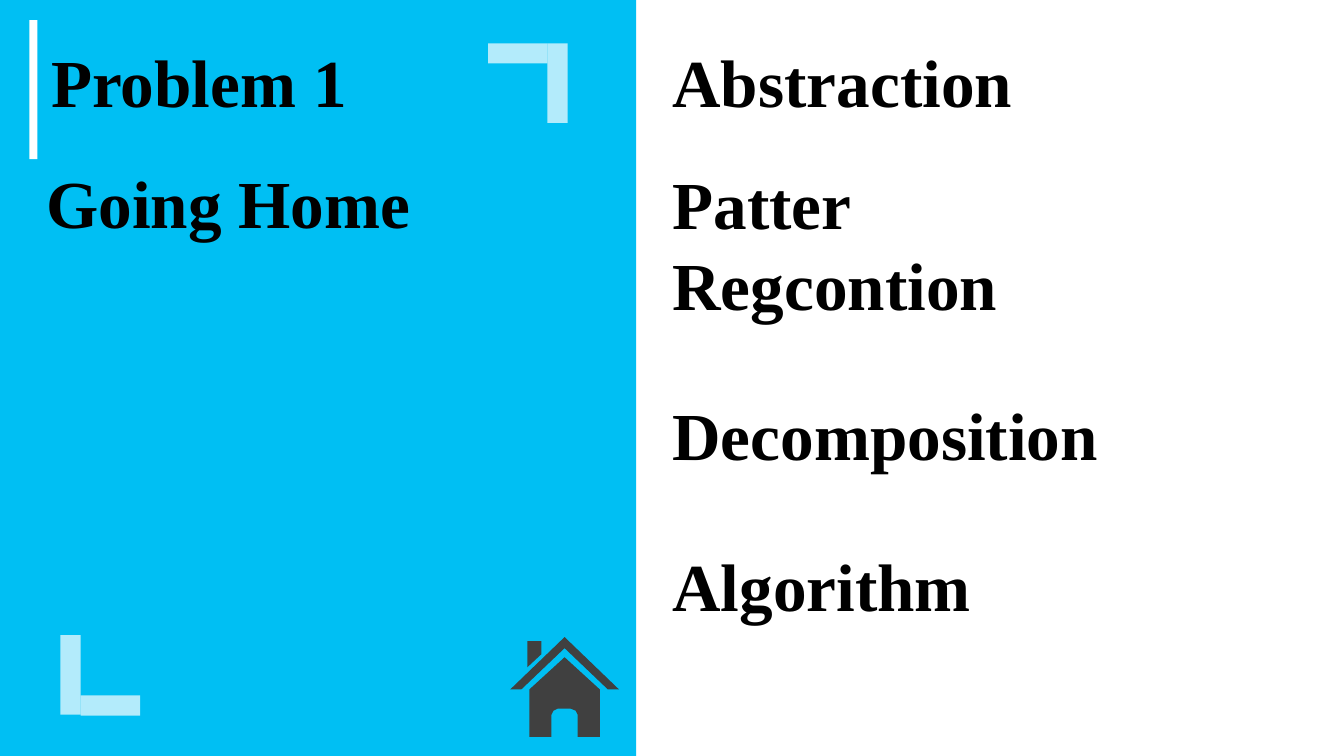
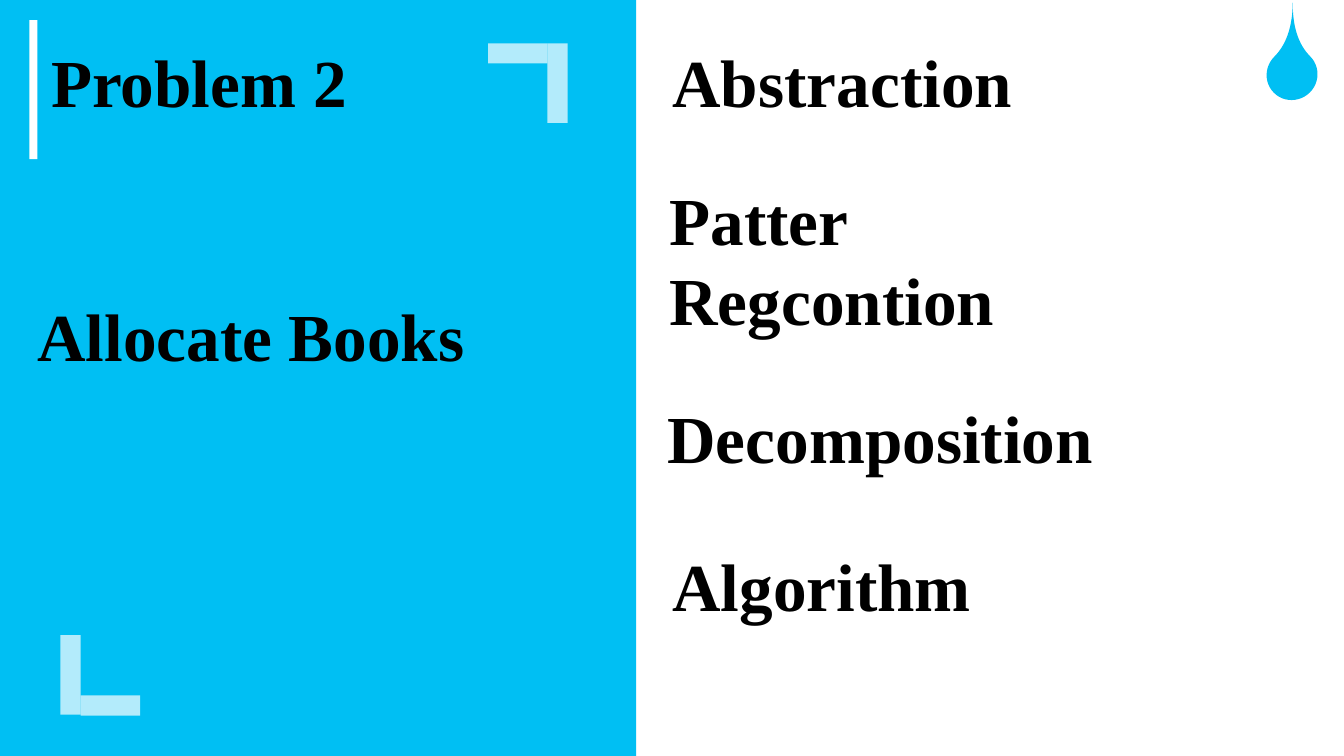
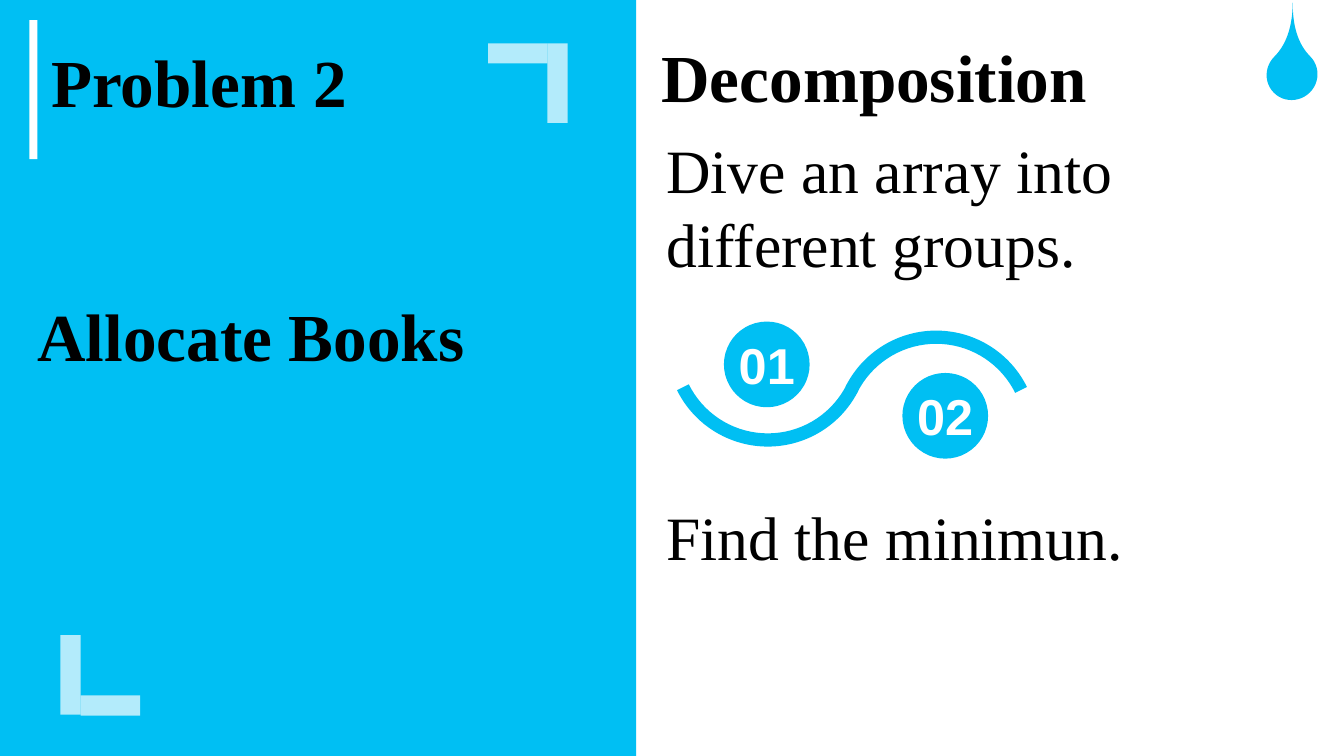
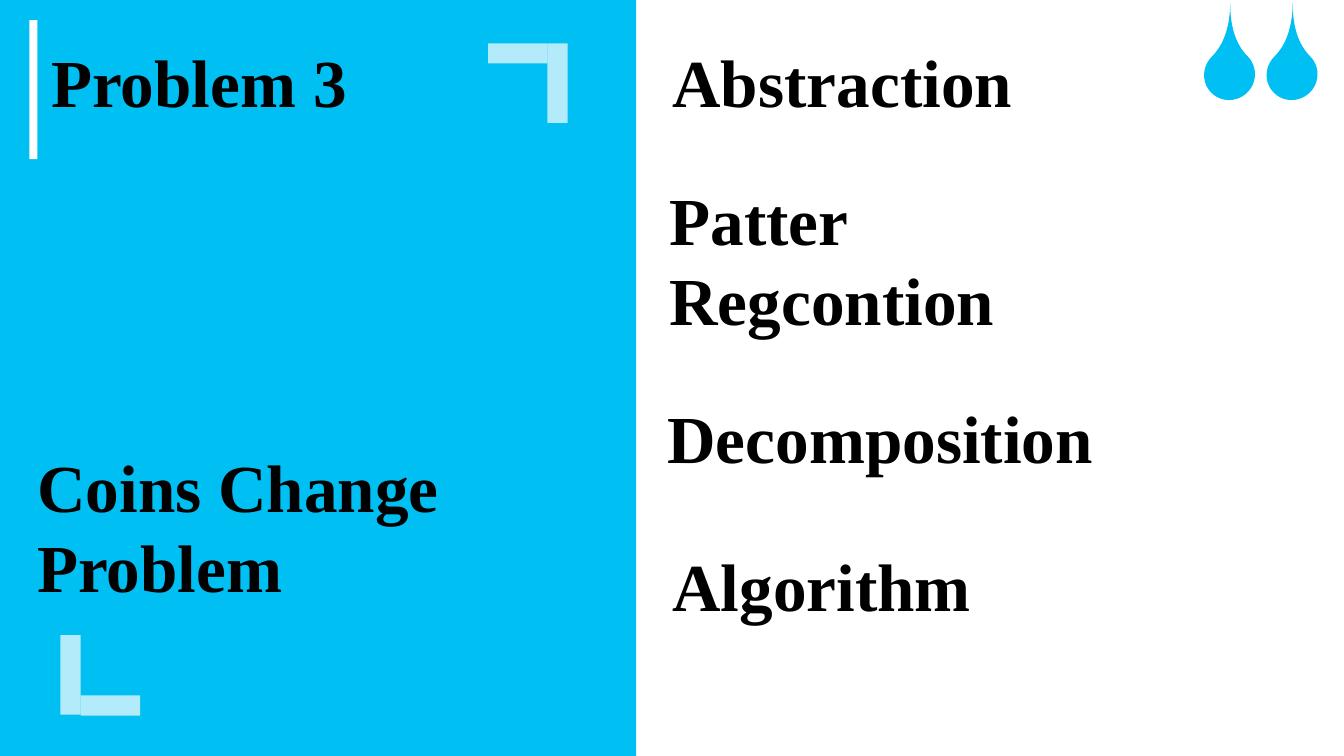
"""Build four slides on solving problems with computational thinking."""
from lxml import etree
from pptx import Presentation
from pptx.dml.color import RGBColor
from pptx.enum import shapes, text
from pptx.oxml.ns import qn
from pptx.util import Inches, Pt

COLORS = {"sky": "00BFF3", "white": "FFFFFF", "black": "000000", "house": "404040"}
SERIF, SANS = "Times New Roman", "Arial"
PRESET = shapes.MSO_SHAPE

HEADING_SIZE = (4.57, 0.51)
FIRST_STEPS = [
    ("Abstraction", 6.67, 0.54),
    ("Patter Regcontion", 6.67, 2.16),
    ("Decomposition", 6.67, 4.05),
    ("Algorithm", 6.67, 5.54),
]
LATER_STEPS = [
    ("Abstraction", 6.67, 0.54),
    ("Patter Regcontion", 6.64, 2.31),
    ("Decomposition", 6.62, 4.08),
    ("Algorithm", 6.67, 5.54),
]
SLIDES = [
    {"title": "Problem 1", "topic": ("Going Home", 0.46, 1.75),
     "headings": FIRST_STEPS, "drops": 0, "house": True},
    {"title": "Problem 2", "topic": ("Allocate Books", 0.37, 3.06),
     "headings": LATER_STEPS, "drops": 1},
    {"title": "Problem 2", "topic": ("Allocate Books", 0.37, 3.06),
     "headings": [("Decomposition", 6.56, 0.5)], "drops": 1,
     "notes": [("Dive an array into different groups.", (6.51, 1.26, 6.11, 1.58)),
               ("Find the minimun.", (6.51, 4.9, 4.87, 0.84))],
     "arcs": [(8.28, 3.28, 0), (6.61, 2.42, 180)],
     "badges": [("01", 7.18, 3.19), ("02", 8.95, 3.7)]},
    {"title": "Problem 3", "topic": ("Coins Change Problem", 0.37, 4.96),
     "headings": LATER_STEPS, "drops": 2},
]

BRACKETS = [
    (5.43, 0.43, 0.2, 0.79), (4.84, 0.43, 0.59, 0.2),
    (0.6, 6.3, 0.2, 0.79), (0.8, 6.9, 0.59, 0.2),
]
HOUSE = [
    [(5.6, 6.52), (5.95, 6.84), (5.95, 7.31), (5.73, 7.31), (5.73, 7.09),
     (5.71, 7.05), (5.66, 7.03), (5.53, 7.03), (5.49, 7.05), (5.47, 7.09),
     (5.47, 7.31), (5.25, 7.31), (5.25, 6.84)],
    [(5.23, 6.36), (5.37, 6.36), (5.37, 6.49), (5.23, 6.62)],
    [(5.6, 6.32), (6.14, 6.84), (6.03, 6.84), (5.6, 6.43), (5.17, 6.84), (5.06, 6.84)],
]


def paint(shape, color, opacity=100):
    shape.shadow.inherit = False
    shape.line.fill.background()
    shape.fill.solid()
    shape.fill.fore_color.rgb = RGBColor.from_string(COLORS[color])
    if opacity < 100:
        color_node = shape.fill._xPr.find(qn("a:solidFill"))[0]
        etree.SubElement(color_node, qn("a:alpha")).set("val", str(opacity * 1000))


def add_preset(slide, preset, box, color="sky", opacity=100, rotation=0, adjustments=()):
    shape = slide.shapes.add_shape(preset, *map(Inches, box))
    paint(shape, color, opacity)
    shape.rotation = rotation
    for index, value in enumerate(adjustments):
        shape.adjustments[index] = value
    return shape


def write(shape, words, size=48, font=SERIF, color="black", bold=True, wrap=True,
          align=text.PP_ALIGN.LEFT, anchor=text.MSO_ANCHOR.MIDDLE,
          insets=(0, 0.05, 0.1, 0.05)):
    frame = shape.text_frame
    frame.word_wrap = wrap
    frame.vertical_anchor = anchor
    (frame.margin_left, frame.margin_top,
     frame.margin_right, frame.margin_bottom) = map(Inches, insets)
    paragraph = frame.paragraphs[0]
    paragraph.alignment = align
    run = paragraph.add_run()
    run.text = words
    run.font.size = Pt(size)
    run.font.name = font
    run.font.bold = bold
    run.font.color.rgb = RGBColor.from_string(COLORS[color])


def add_text(slide, words, box, **style):
    write(slide.shapes.add_textbox(*map(Inches, box)), words, **style)


def add_house(slide):
    outlines = [[(Inches(x), Inches(y)) for x, y in outline] for outline in HOUSE]
    builder = slide.shapes.build_freeform(*outlines[0][0])
    for index, outline in enumerate(outlines):
        if index:
            builder.move_to(*outline[0])
        builder.add_line_segments(outline[1:], close=True)
    paint(builder.convert_to_shape(), "house")


def add_frame(slide, title):
    add_preset(slide, PRESET.RECTANGLE, (0, 0, 6.31, 7.5))
    for box in BRACKETS:
        add_preset(slide, PRESET.RECTANGLE, box, "white", opacity=70)
    add_preset(slide, PRESET.RECTANGLE, (0.29, 0.2, 0.08, 1.38), "white")
    add_text(slide, title, (0.51, 0.54, 3.2, 0.51))


def add_slide(presentation, content):
    slide = presentation.slides.add_slide(presentation.slide_layouts[6])
    add_frame(slide, content["title"])
    for words, left, top in [content["topic"], *content["headings"]]:
        add_text(slide, words, (left, top, *HEADING_SIZE))
    for index in range(content["drops"]):
        add_preset(slide, PRESET.TEAR, (12.56 - 0.62 * index, 0.49, 0.51, 0.5),
                   rotation=315, adjustments=[2])
    for words, box in content.get("notes", []):
        add_text(slide, words, box, size=44, bold=False, anchor=text.MSO_ANCHOR.TOP,
                 insets=(0.1, 0.05, 0.1, 0.05))
    for left, top, rotation in content.get("arcs", []):
        add_preset(slide, PRESET.BLOCK_ARC, (left, top, 2.01, 2.01),
                   rotation=rotation, adjustments=[123.99, 200.21, 0.065])
    for words, left, top in content.get("badges", []):
        badge = add_preset(slide, PRESET.OVAL, (left, top, 0.85, 0.85))
        write(badge, words, size=36, font=SANS, color="white", wrap=False,
              align=text.PP_ALIGN.CENTER, insets=(0, 0, 0, 0))
    if content.get("house"):
        add_house(slide)


def main():
    presentation = Presentation()
    presentation.slide_width = Inches(13.33)
    presentation.slide_height = Inches(7.5)
    for content in SLIDES:
        add_slide(presentation, content)
    presentation.save("out.pptx")


if __name__ == "__main__":
    main()
